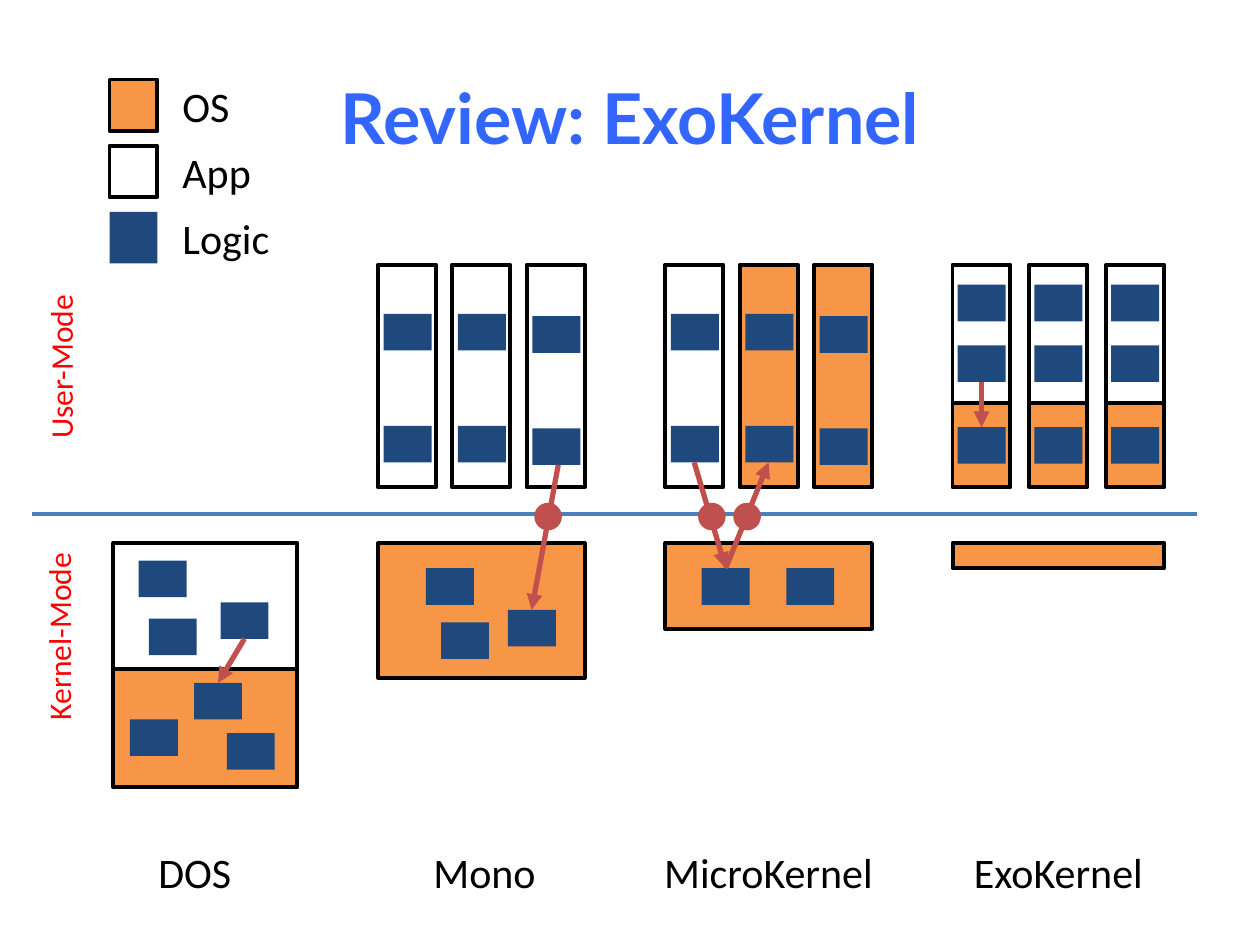
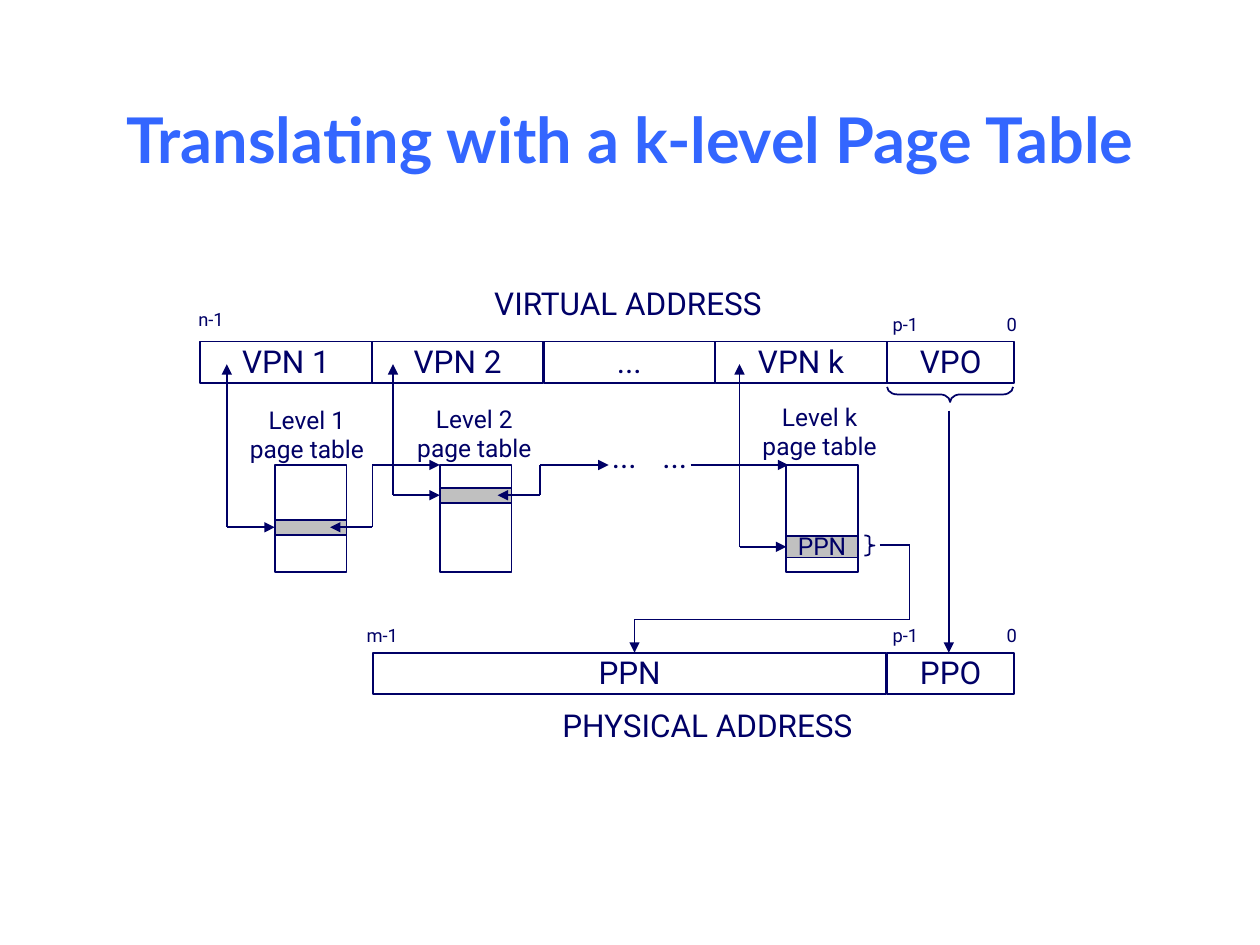
"""Builds two slides on kernel designs and k-level page tables."""
import pptx
import pptx.dml.color
import pptx.enum.shapes
import pptx.enum.text
import pptx.oxml
import pptx.oxml.ns
import pptx.util

HUES = {"title": "3366FF", "os": "F79646", "logic": "1F497D", "call": "C0504D",
        "split": "4B7EBC", "mode": "FF0000", "black": "000000",
        "navy": "000066", "entry": "C0C0C0"}
TITLE = "Lato"
KINDS = pptx.enum.shapes.MSO_SHAPE
ALIGN = pptx.enum.text.PP_ALIGN
ANCHOR = pptx.enum.text.MSO_ANCHOR


def put(slide, area, kind=None, fill=None, line=None, weight=1, text="",
        font="Calibri", size=24, ink="black", align=ALIGN.CENTER,
        anchor=ANCHOR.TOP, wrap=True, space=None):
    """Adds a shape, or a text box when no kind is given."""
    spot = [pptx.util.Pt(n) for n in area]
    if kind is None:
        shape = slide.shapes.add_textbox(*spot)
        shape.text_frame.auto_size = pptx.enum.text.MSO_AUTO_SIZE.SHAPE_TO_FIT_TEXT
    else:
        shape = slide.shapes.add_shape(kind, *spot)
        shape.shadow.inherit = False
        for part, hue in ((shape.fill, fill), (shape.line.fill, line)):
            if hue:
                part.solid()
                part.fore_color.rgb = pptx.dml.color.RGBColor.from_string(HUES[hue])
            else:
                part.background()
        if line:
            shape.line.width = pptx.util.Pt(weight)
    if text:
        frame = shape.text_frame
        frame.word_wrap = wrap
        frame.vertical_anchor = anchor
        for i, words in enumerate(text.split("\n")):
            para = frame.add_paragraph() if i else frame.paragraphs[0]
            para.alignment = align
            para.line_spacing = space
            run = para.add_run()
            run.text = words
            run.font.name = font
            run.font.size = pptx.util.Pt(size)
            run.font.color.rgb = pptx.dml.color.RGBColor.from_string(HUES[ink])
    return shape


def wire(slide, points, hue, weight, head=False, tail=False):
    """Joins points with straight lines, with arrowheads at the ends."""
    last = len(points) - 2
    for i, (start, end) in enumerate(zip(points, points[1:])):
        line = slide.shapes.add_connector(
            pptx.enum.shapes.MSO_CONNECTOR.STRAIGHT,
            *[pptx.util.Pt(n) for n in (*start, *end)])
        line.line.color.rgb = pptx.dml.color.RGBColor.from_string(HUES[hue])
        line.line.width = pptx.util.Pt(weight)
        props = line.line._get_or_add_ln()
        for tag, shown in (("a:headEnd", head and i == 0), ("a:tailEnd", tail and i == last)):
            if shown:
                tip = pptx.oxml.parse_xml(f"<{tag} {pptx.oxml.ns.nsdecls('a')} type='triangle'/>")
                props.append(tip)
        line._element.spPr.append(
            pptx.oxml.parse_xml(f"<a:effectLst {pptx.oxml.ns.nsdecls('a')}/>"))


deck = pptx.Presentation()
deck.slide_width = pptx.util.Pt(720)
deck.slide_height = pptx.util.Pt(540)

slides = []
for words, size, area in (
        ("Review: ExoKernel", 40, (36, 21.6, 648, 90)),
        ("Translating with a k-level Page Table", 36, (0, 48.2, 720, 62))):
    slide = deck.slides.add_slide(deck.slide_layouts[5])
    title = slide.shapes.title
    title.left, title.top, title.width, title.height = [pptx.util.Pt(n) for n in area]
    title.text_frame.vertical_anchor = ANCHOR.MIDDLE
    para = title.text_frame.paragraphs[0]
    para.alignment = ALIGN.CENTER
    run = para.add_run()
    run.text = words
    run.font.name = TITLE
    run.font.size = pptx.util.Pt(size)
    run.font.bold = True
    run.font.color.rgb = pptx.dml.color.RGBColor.from_string(HUES["title"])
    slides.append(slide)
kernel, paging = slides

wire(kernel, [(18, 293.8), (684, 293.8)], "split", 2.25)
for words, area in (("User-Mode", (-14.4, 194.4, 97.9, 28.8)),
                    ("Kernel-Mode", (-22.3, 348.5, 111.6, 28.8))):
    label = put(kernel, area, text=words, size=18, ink="mode", align=ALIGN.LEFT, wrap=False)
    label.rotation = 270

for i, (words, fill, line) in enumerate((
        ("OS", "os", "black"), ("App", None, "black"), ("Logic", "logic", None))):
    top = 45.4 + 37.8 * i
    put(kernel, (62.6, top, 27.4, 29.5), KINDS.RECTANGLE, fill, line, 2.25)
    put(kernel, (97.2, top - 2.9, 74.2, 36), text=words, align=ALIGN.LEFT)

for words, left, width in (("DOS", 74.2, 74.2), ("Mono", 239.8, 74.2),
                           ("MicroKernel", 367.2, 144), ("ExoKernel", 532.8, 144)):
    put(kernel, (left, 480.2, width, 36), text=words)

blocks = [((64.8, 310.3, 105.1, 72), None), ((64.8, 382.3, 105.1, 67.7), "os"),
          ((216, 310.3, 118.1, 77), "os"), ((380.2, 310.3, 118.1, 49), "os"),
          ((544.3, 310.3, 121, 14.4), "os")]
logic = [(79.2, 320.4), (126, 344.2), (85, 353.5), (110.9, 390.2), (74.2, 411.1),
         (129.6, 419), (243.4, 324.7), (252, 355.7), (290.2, 348.5),
         (401, 324.7), (449.3, 324.7)]
for i in range(3):
    drop = 1.4 if i == 2 else 0
    for first, fill in ((216, None), (380.2, "os" if i else None)):
        left = first + 42.5 * i
        blocks.append(((left, 151.2, 33.1, 127.4), fill))
        logic += [(left + 3.2, 179.3 + drop), (left + 3.2, 243.4 + drop)]
    left = 544.3 + 43.9 * i
    blocks += [((left, 230.4, 33.1, 48.2), "os"), ((left, 151.2, 33.1, 79.2), None)]
    logic += [(left + 2.9, top) for top in (162.7, 197.3, 244.1)]
for area, fill in blocks:
    put(kernel, area, KINDS.RECTANGLE, fill, "black", 2.25)
for left, top in logic:
    put(kernel, (left, top, 27.4, 20.9), KINDS.RECTANGLE, "logic")

for points in ([(139.7, 365), (124.6, 390.2)], [(319, 265.7), (303.8, 348.5)],
               [(396.7, 264.2), (414.7, 324.7)], [(414.7, 324.7), (439.2, 264.2)],
               [(560.9, 218.2), (560.9, 244.1)]):
    wire(kernel, points, "call", 3, tail=True)
for left in (305.3, 398.9, 419):
    put(kernel, (left, 287.3, 15.8, 15.8), KINDS.OVAL, "call")

style = dict(font="Roboto", ink="navy", anchor=ANCHOR.MIDDLE, wrap=False, space=0.98)
fields = [(114.5 + 98.1 * i, 195.1, 97.9, words)
          for i, words in enumerate(("VPN 1", "VPN 2", "...", "VPN k"))]
fields += [(506.9, 195.1, 72.7, "VPO"), (213.1, 373, 293.4, "PPN"), (506.9, 373, 72.7, "PPO")]
for left, top, width, words in fields:
    put(paging, (left, top, width, 23.8), KINDS.RECTANGLE, None, "navy",
        text=words, size=18, **style)

for words, left, top, width in (("n-1", 105.8, 172.8, 29.5), ("m-1", 202.3, 353.5, 32.4),
                                ("p-1", 502.6, 175.7, 29.5), ("p-1", 502.6, 353.5, 29.5),
                                ("0", 568.1, 175.7, 20.2), ("0", 568.1, 353.5, 20.2)):
    put(paging, (left, top, width, 20.2), text=words, size=10.5, **style)
for words, left, top, width in (("VIRTUAL ADDRESS", 267.8, 159.8, 182.2),
                                ("PHYSICAL ADDRESS", 306.7, 401, 195.1),
                                ("...", 342, 247, 29.5), ("...", 370.8, 247, 29.5)):
    put(paging, (left, top, width, 28.8), text=words, size=18, **style)

for level, left, probe, mid, high, words, side, top in (
        ("1", 157, 129.6, 301.3, 8.6, "", 135.4, 228.2),
        ("2", 251.3, 224.6, 283, 8.6, "", 231.1, 227.5),
        ("k", 449.3, 422.6, 312.5, 12.2, "PPN", 428.4, 226.8)):
    put(paging, (left, 265.7, 41, 61.2), KINDS.RECTANGLE, None, "navy")
    put(paging, (left, mid - high / 2, 41, high), KINDS.RECTANGLE, "entry", "navy",
        text=words, size=14, **style)
    put(paging, (side, top, 79.9, 41), text=f"Level {level}\npage table", size=14, **style)
    wire(paging, [(probe, 208.1), (probe, mid), (left, mid)], "navy", 1, True, True)

for points, head in (
        ([(188.6, 301.3), (212.8, 301.3), (212.8, 265.7), (251.3, 265.7)], True),
        ([(284.4, 283), (308.6, 283), (308.6, 265.7), (347.8, 265.7)], True),
        ([(394.6, 265.7), (450.4, 265.7)], False),
        ([(502.6, 311.6), (519.8, 311.6), (519.8, 354), (362.6, 354), (362.6, 373)], False),
        ([(542.2, 234.7), (542.2, 373)], False)):
    wire(paging, points, "navy", 1, head, True)

for area, turn, curve in (((538.6, 189.4, 8.6, 72), 90, 0.68),
                          ((493.9, 306, 5.8, 11.5), 0, 0.16)):
    brace = put(paging, area, KINDS.RIGHT_BRACE, None, "navy")
    brace.rotation = turn
    brace.adjustments[0] = curve
    brace.adjustments[1] = 0.5

deck.save("out.pptx")
